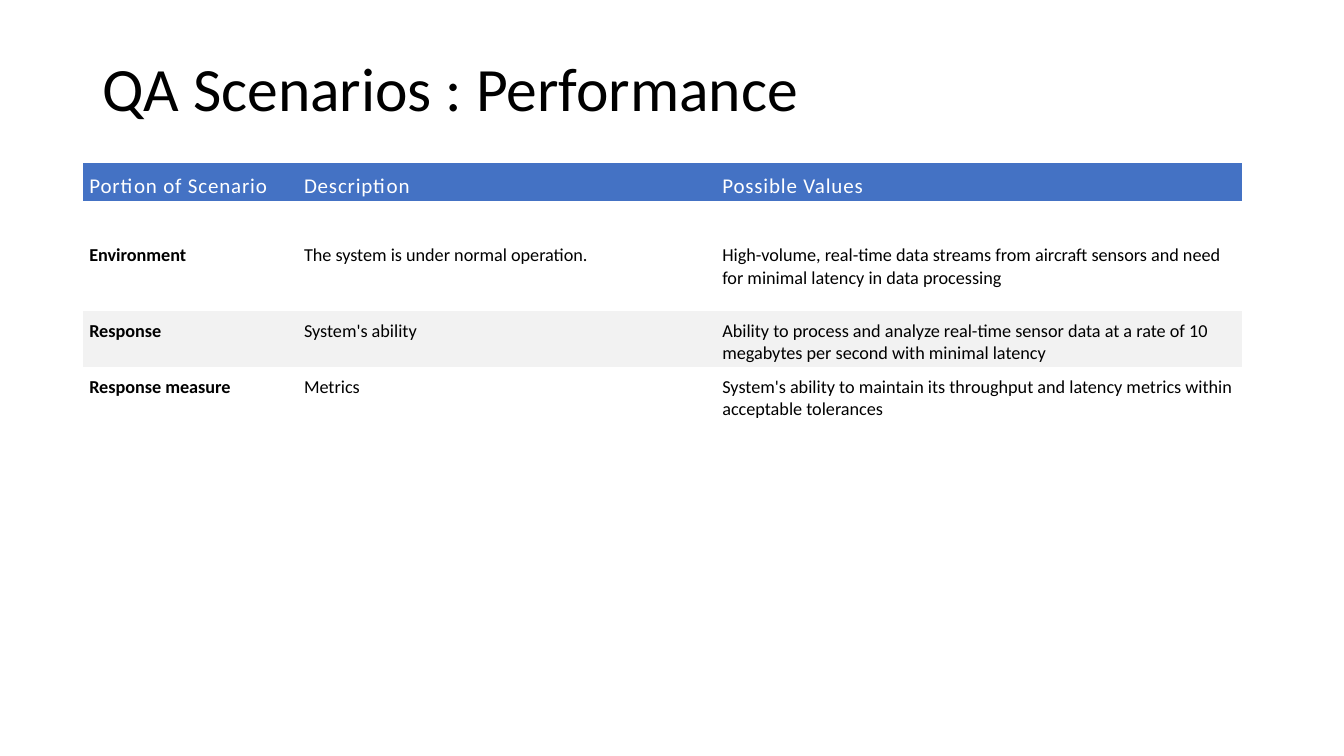
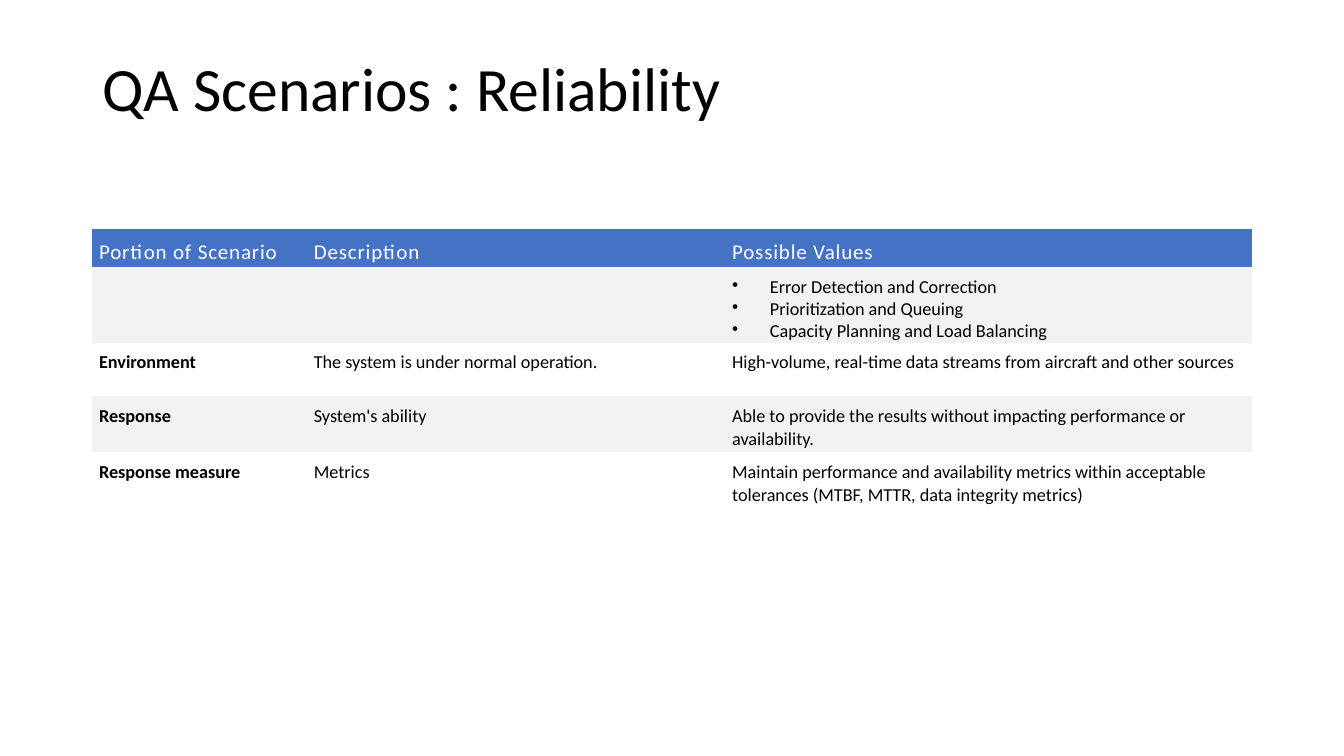
import pptx
import pptx.util
import pptx.dml.color
import pptx.enum.text
import pptx.oxml.ns
import lxml.etree

Pt = pptx.util.Pt
ANCHOR = pptx.enum.text.MSO_ANCHOR

FONT = "Calibri"
BLACK, WHITE, HEADER_BLUE, BAND_GREY = "000000", "FFFFFF", "4472C4", "F2F2F2"
NO_STYLE_NO_GRID = "{2D5ABB26-0587-4C30-8999-92F81FD0307C}"

HEADER = ("Portion of Scenario", "Description", "Possible Values")
COLUMN_WIDTHS = (153.4, 298.8, 375.8)
HEADER_HEIGHT = 27.2
BULLET_INDENT = 27

# Each row: height, then its three cells; a list is a bulleted cell.
SCENARIOS = [
    {
        "title": "QA Scenarios : Performance",
        "corner": (59, 116.5),
        "rows": [
            (24.5, "", "", ""),
            (54, "Environment", "The system is under normal operation.",
             "High-volume, real-time data streams from aircraft sensors and need "
             "for minimal latency in data processing"),
            (40, "Response", "System's ability",
             "Ability to process and analyze real-time sensor data at a rate of 10 "
             "megabytes per second with minimal latency"),
            (55, "Response measure", "Metrics",
             "System's ability to maintain its throughput and latency metrics within "
             "acceptable tolerances"),
        ],
        "shaded": (3,),
    },
    {
        "title": "QA Scenarios : Reliability",
        "corner": (66, 163.5),
        "rows": [
            (54, "", "", ["Error Detection and Correction",
                          "Prioritization and Queuing",
                          "Capacity Planning and Load Balancing"]),
            (38.5, "Environment", "The system is under normal operation.",
             "High-volume, real-time data streams from aircraft and other sources"),
            (40, "Response", "System's ability",
             "Able to provide the results without impacting performance or availability."),
            (55, "Response measure", "Metrics",
             "Maintain performance and availability metrics within acceptable "
             "tolerances (MTBF, MTTR, data integrity metrics)"),
        ],
        "shaded": (1, 3),
    },
]


def rgb(color):
    return pptx.dml.color.RGBColor.from_string(color)


def style_font(paragraph, size, color, bold=False):
    font = paragraph.font
    font.name, font.size, font.bold = FONT, Pt(size), bold
    font.color.rgb = rgb(color)


def add_bullet(paragraph):
    properties = paragraph._p.get_or_add_pPr()
    properties.set("marL", str(Pt(BULLET_INDENT)))
    properties.set("indent", str(-Pt(BULLET_INDENT)))
    bullet = lxml.etree.Element(pptx.oxml.ns.qn("a:buChar"), char="•")
    # The bullet must precede the default run properties.
    properties.find(pptx.oxml.ns.qn("a:defRPr")).addprevious(bullet)


def add_title(slide, text):
    frame = slide.shapes.add_textbox(Pt(66), Pt(28.8), Pt(828), Pt(73.4)).text_frame
    frame.word_wrap = True
    frame.vertical_anchor = ANCHOR.MIDDLE
    frame.text = text
    title = frame.paragraphs[0]
    title.line_spacing = 0.9
    style_font(title, 44, BLACK)


def fill_cell(cell, content, fill, is_header, bold):
    cell.margin_left = cell.margin_right = Pt(4.8)
    cell.margin_top, cell.margin_bottom = Pt(6.5), Pt(0)
    cell.vertical_anchor = ANCHOR.MIDDLE if is_header else ANCHOR.TOP
    if fill:
        cell.fill.solid()
        cell.fill.fore_color.rgb = rgb(fill)
    else:
        cell.fill.background()
    bulleted = isinstance(content, list)
    cell.text_frame.text = "\n".join(content) if bulleted else content
    for paragraph in cell.text_frame.paragraphs:
        style_font(paragraph, 15 if is_header else 13,
                   WHITE if is_header else BLACK, bold)
        if bulleted:
            add_bullet(paragraph)
        if is_header:
            for run in paragraph.runs:
                run._r.get_or_add_rPr().set("spc", "60")


def add_scenario_table(slide, corner, rows, shaded):
    rows = [(HEADER_HEIGHT, *HEADER), *rows]
    left, top = corner
    table = slide.shapes.add_table(
        len(rows), len(HEADER), Pt(left), Pt(top),
        Pt(sum(COLUMN_WIDTHS)), Pt(sum(row[0] for row in rows))).table
    table.horz_banding = False
    table._tbl.tblPr.find(pptx.oxml.ns.qn("a:tableStyleId")).text = NO_STYLE_NO_GRID
    for column, width in zip(table.columns, COLUMN_WIDTHS):
        column.width = Pt(width)
    for r, (height, *contents) in enumerate(rows):
        table.rows[r].height = Pt(height)
        is_header = r == 0
        fill = HEADER_BLUE if is_header else BAND_GREY if r in shaded else None
        for c, content in enumerate(contents):
            fill_cell(table.cell(r, c), content, fill, is_header,
                      bold=c == 0 and not is_header)


def main():
    deck = pptx.Presentation()
    deck.slide_width, deck.slide_height = Pt(960), Pt(540)
    for scenario in SCENARIOS:
        slide = deck.slides.add_slide(deck.slide_layouts[6])
        add_title(slide, scenario["title"])
        add_scenario_table(slide, scenario["corner"], scenario["rows"],
                           scenario["shaded"])
    deck.save("out.pptx")


if __name__ == "__main__":
    main()
